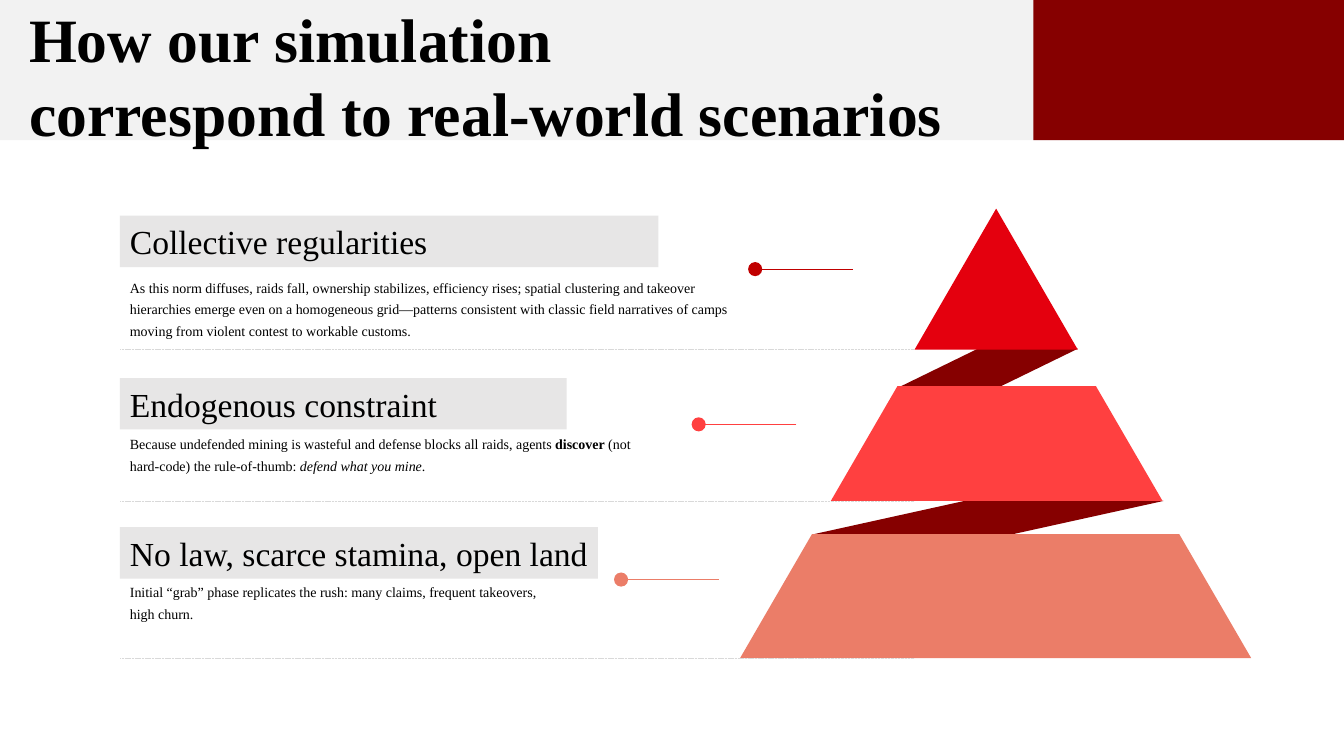
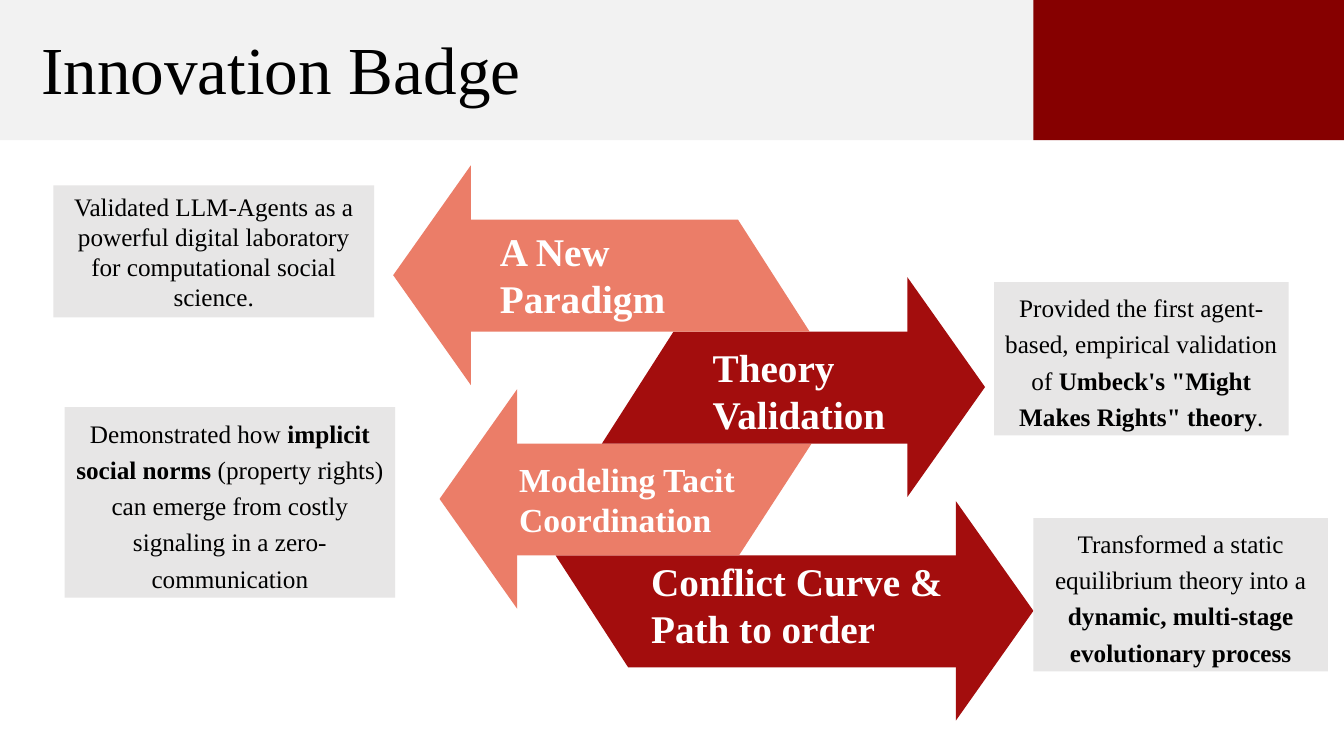
import pptx
import pptx.dml.color
import pptx.enum.dml
import pptx.enum.shapes
import pptx.enum.text
import pptx.oxml.ns
import pptx.util

Inches = pptx.util.Inches
Pt = pptx.util.Pt
RGBColor = pptx.dml.color.RGBColor
Shape = pptx.enum.shapes.MSO_SHAPE
Align = pptx.enum.text.PP_ALIGN
Anchor = pptx.enum.text.MSO_ANCHOR

BLACK = RGBColor(0x00, 0x00, 0x00)
WHITE = RGBColor(0xFF, 0xFF, 0xFF)
BAND = RGBColor(0xF2, 0xF2, 0xF2)
PANEL = RGBColor(0xE7, 0xE6, 0xE6)
RULE = RGBColor(0xD9, 0xD9, 0xD9)
MAROON = RGBColor(0x86, 0x00, 0x00)
CRIMSON = RGBColor(0xA3, 0x0D, 0x0D)
DARK_RED = RGBColor(0xC0, 0x00, 0x00)
RED = RGBColor(0xE4, 0x00, 0x0E)
LIGHT_RED = RGBColor(0xFF, 0x40, 0x40)
SALMON = RGBColor(0xEB, 0x7D, 0x68)

SLIDE_WIDTH, SLIDE_HEIGHT = 13.33, 7.5
ACCENT_LEFT = 10.25
BAND_HEIGHT = 1.39
FONT = "Times New Roman"
BOLD = {"bold": True}
ITALIC = {"italic": True}


class SlideBuilder:
    """Hold the deck style and draw elements on the current slide."""

    def __init__(self):
        self.deck = pptx.Presentation()
        self.deck.slide_width = Inches(SLIDE_WIDTH)
        self.deck.slide_height = Inches(SLIDE_HEIGHT)
        self.page = None

    def start_page(self, title, place, size, bold=False):
        self.page = self.deck.slides.add_slide(self.deck.slide_layouts[6])
        self.shape(Shape.RECTANGLE, (0, 0, SLIDE_WIDTH, BAND_HEIGHT), BAND)
        self.shape(Shape.RECTANGLE, (ACCENT_LEFT, 0, SLIDE_WIDTH - ACCENT_LEFT, BAND_HEIGHT), MAROON)
        self.text(place, title, size, bold=bold)

    def paint(self, shape, color):
        shape.shadow.inherit = False
        shape.fill.solid()
        shape.fill.fore_color.rgb = color
        shape.line.fill.background()

    def shape(self, kind, place, color, adjustment=None):
        shape = self.page.shapes.add_shape(kind, *map(Inches, place))
        self.paint(shape, color)
        if adjustment is not None:
            shape.adjustments[0] = adjustment
        return shape

    def polygon(self, points, color):
        start, *rest = [(Inches(x), Inches(y)) for x, y in points]
        outline = self.page.shapes.build_freeform(*start)
        outline.add_line_segments(rest, close=True)
        self.paint(outline.convert_to_shape(), color)

    def line(self, start, end, color, width, dash=None):
        line = self.page.shapes.add_connector(
            pptx.enum.shapes.MSO_CONNECTOR.STRAIGHT, *map(Inches, (*start, *end)))
        line.line.color.rgb = color
        line.line.width = Pt(width)
        if dash is not None:
            line.line.dash_style = dash
        properties = line.element.spPr
        properties.append(properties.makeelement(pptx.oxml.ns.qn("a:effectLst"), {}))

    def fill_text(self, box, paragraphs, size, color=BLACK, bold=False,
                  align=Align.LEFT, spacing=None, anchor=Anchor.TOP):
        frame = box.text_frame
        frame.word_wrap = True
        frame.vertical_anchor = anchor
        for index, spans in enumerate(paragraphs):
            para = frame.add_paragraph() if index else frame.paragraphs[0]
            para.alignment = align
            if spacing:
                para.line_spacing = spacing
            for words, change in spans:
                span = para.add_run()
                span.text = words
                span.font.color.rgb = color
                values = {"name": FONT, "size": Pt(size), "bold": bold, **change}
                for name, value in values.items():
                    setattr(span.font, name, value)

    def text(self, place, paragraphs, size, **style):
        box = self.page.shapes.add_textbox(*map(Inches, place))
        self.fill_text(box, paragraphs, size, **style)

    def panel(self, place, paragraphs, size, **style):
        box = self.shape(Shape.RECTANGLE, place, PANEL)
        self.fill_text(box, paragraphs, size, anchor=Anchor.MIDDLE, **style)

    def callout(self, center_x, center_y, color):
        diameter = 0.14
        self.line((center_x + 0.97, center_y), (center_x, center_y), color, 0.5)
        self.shape(Shape.OVAL, (center_x - diameter / 2, center_y - diameter / 2,
                                diameter, diameter), color)

    def arrow(self, tip_x, center_y, tail_top, tail_bottom, color):
        direction = 1 if tip_x > tail_top else -1
        base = tip_x - direction * 0.77
        joint = base + direction * 0.08
        top, bottom = center_y - 0.55, center_y + 0.56
        self.polygon([(joint, top), (tail_top, top), (tail_bottom, bottom), (joint, bottom)], color)
        self.polygon([(tip_x, center_y), (base, center_y - 1.09), (base, center_y + 1.09)], color)


def plain(words):
    return [[(words, {})]]


def build_pyramid(builder):
    builder.start_page(plain("How our simulation") + plain("correspond to real-world scenarios"),
                       (0.19, -0.04, 9.81, 1.58), 44, bold=True)
    for place, skew in (((8.07, 4.97, 3.47, 0.33), 4.53), ((8.94, 3.46, 1.75, 0.37), 2.05)):
        builder.shape(Shape.PARALLELOGRAM, place, MAROON, skew)
    for place, color, slope in (
        ((7.34, 5.3, 5.07, 1.23), SALMON, 0.58),
        ((8.24, 3.83, 3.29, 1.14), LIGHT_RED, 0.58),
        ((9.07, 2.07, 1.62, 1.4), RED, 0.71),
    ):
        builder.shape(Shape.TRAPEZOID, place, color, slope)

    left = 1.19
    for y in (3.46, 4.97, 6.53):
        builder.line((9.07, y), (left, y), RULE, 0.25, pptx.enum.dml.MSO_LINE.SQUARE_DOT)
    for x, y, color in ((7.49, 2.67, DARK_RED), (6.93, 4.21, LIGHT_RED), (6.16, 5.75, SALMON)):
        builder.callout(x, y, color)

    levels = (
        (2.14, 5.34, "Collective regularities", (2.67, 6.23, 0.74), plain(
            "As this norm diffuses, raids fall, ownership stabilizes, efficiency rises; "
            "spatial clustering and takeover hierarchies emerge even on a homogeneous "
            "grid—patterns consistent with classic field narratives of camps moving from "
            "violent contest to workable customs.")),
        (3.75, 4.43, "Endogenous constraint", (4.22, 5.48, 0.52), [[
            ("Because undefended mining is wasteful and defense blocks all raids, agents ", {}),
            ("discover", BOLD),
            (" (not hard-code) the rule-of-thumb: ", {}),
            ("defend what you mine", ITALIC),
            (".", {})]]),
        (5.23, 4.74, "No law, scarce stamina, open land", (5.69, 4.3, 0.52), plain(
            "Initial “grab” phase replicates the rush: many claims, frequent takeovers, "
            "high churn.")),
    )
    for top, width, heading, body_place, body in levels:
        builder.panel((left, top, width, 0.51), plain(heading), 24)
        builder.text((left, *body_place), body, 10, spacing=1.3)


def build_badges(builder):
    builder.start_page(plain("Innovation Badge"), (0.31, 0.22, 6.52, 0.91), 48)
    arrows = (
        (3.9, 7.32, 8.03, SALMON),
        (9.77, 6.68, 5.97, CRIMSON),
        (4.36, 8.05, 7.33, SALMON),
        (10.25, 5.51, 6.23, CRIMSON),
    )
    for index, (tip, tail_top, tail_bottom, color) in reversed(list(enumerate(arrows))):
        builder.arrow(tip, 2.73 + 1.11 * index, tail_top, tail_bottom, color)

    findings = (
        ((0.53, 1.84, 3.18, 1.31), None, plain(
            "Validated LLM-Agents as a powerful digital laboratory for computational "
            "social science.")),
        ((0.64, 4.04, 3.28, 1.89), 1.2, [[
            ("Demonstrated how ", {}),
            ("implicit social norms", BOLD),
            (" (property rights) can emerge from costly signaling in a zero-communication", {})]]),
        ((9.86, 2.8, 2.92, 1.52), 1.2, [[
            ("Provided the first agent-based, empirical validation of ", {}),
            ("Umbeck's \"Might Makes Rights\" theory", BOLD),
            (".", {})]]),
        ((10.25, 5.14, 2.92, 1.52), 1.2, [[
            ("Transformed a static equilibrium theory into a ", {}),
            ("dynamic, multi-stage evolutionary process", BOLD)]]),
    )
    for place, spacing, paragraphs in findings:
        builder.panel(place, paragraphs, 18, align=Align.CENTER, spacing=spacing)

    for place, label, size in (
        ((4.86, 2.21, 2.46, 1.04), "A New Paradigm", 28),
        ((6.97, 3.36, 2.41, 1.04), "Theory Validation", 28),
        ((5.05, 4.5, 3.25, 0.91), "Modeling Tacit Coordination", 24),
        ((6.36, 5.48, 3.35, 1.04), "Conflict Curve & Path to order", 28),
    ):
        builder.text(place, plain(label), size, color=WHITE, bold=True)


def main():
    builder = SlideBuilder()
    build_pyramid(builder)
    build_badges(builder)
    builder.deck.save("out.pptx")


if __name__ == "__main__":
    main()
